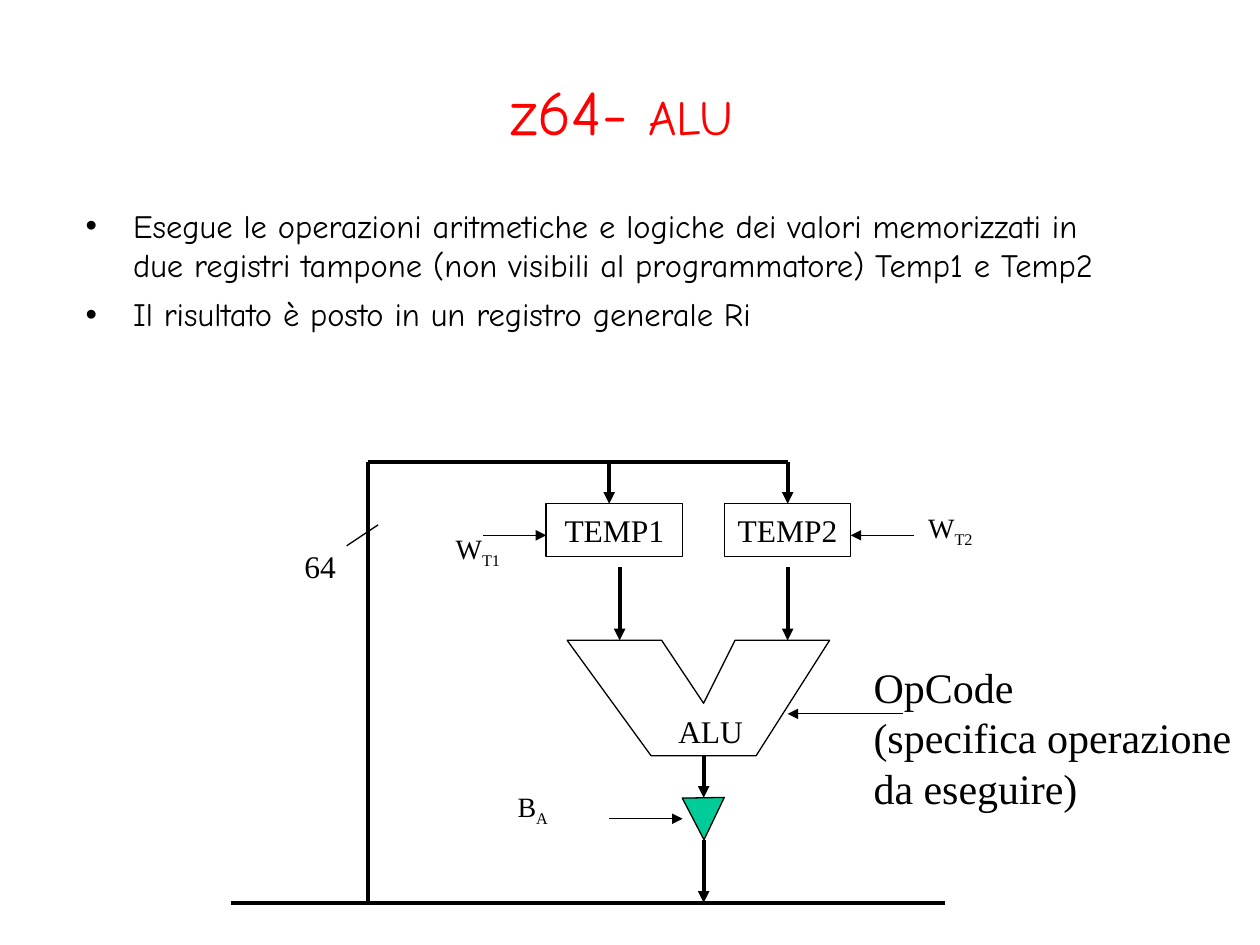
from lxml.etree import SubElement
from pptx import Presentation
from pptx.dml.color import RGBColor
from pptx.enum.shapes import MSO_CONNECTOR, MSO_SHAPE
from pptx.enum.text import MSO_ANCHOR, MSO_AUTO_SIZE, PP_ALIGN
from pptx.oxml.ns import qn
from pptx.util import Cm, Pt

STEP = 2.54 / 12  # grid pitch of the diagram in cm
SANS, SERIF = "Comic Neue", "Times New Roman"
BLACK, WHITE, RED, GREEN = "000000", "FFFFFF", "FF0000", "00CC99"


def color(code):
    return RGBColor.from_string(code)


def style(font, name, size, code=BLACK):
    font.name, font.size = name, Pt(size)
    font.color.rgb = color(code)


def place(shape, box):
    shape.left, shape.top, shape.width, shape.height = map(Cm, box)


def add_title(slide, box):
    title = slide.shapes.title
    place(title, box)
    frame = title.text_frame
    frame.auto_size = MSO_AUTO_SIZE.NONE
    frame.vertical_anchor = MSO_ANCHOR.MIDDLE
    par = frame.paragraphs[0]
    par.alignment = PP_ALIGN.CENTER
    style(par.font, SANS, 36, RED)
    for text, size in (("z64- ", 36), ("ALU ", 28)):
        run = par.add_run()
        run.text = text
        run.font.size = Pt(size)


def add_list(slide, box, items):
    body = slide.placeholders[1]
    place(body, box)
    frame = body.text_frame
    frame.auto_size = MSO_AUTO_SIZE.NONE
    frame.text = "\n".join(items)
    for i, par in enumerate(frame.paragraphs):
        props = par._p.get_or_add_pPr()
        props.set("marL", str(Cm(0.96)))
        props.set("indent", str(Cm(-0.96)))
        SubElement(props, qn("a:buChar")).set("char", "•")
        par.space_before = Pt(6 if i else 0)
        style(par.font, SANS, 18.6)


class Diagram:
    """Draws on a grid whose origin is the top left of the diagram."""

    def __init__(self, slide, left, top):
        self.shapes = slide.shapes
        self.left, self.top = left, top

    def spot(self, x, y):
        return Cm(self.left + x * STEP), Cm(self.top + y * STEP)

    def area(self, x, y, w, h):
        return *self.spot(x, y), Cm(w * STEP), Cm(h * STEP)

    def line(self, start, end, width=0.75, arrow=False):
        link = self.shapes.add_connector(
            MSO_CONNECTOR.STRAIGHT, *self.spot(*start), *self.spot(*end))
        link.line.color.rgb = color(BLACK)
        link.line.width = Pt(width)
        if arrow:
            SubElement(link.line._get_or_add_ln(), qn("a:tailEnd")).set("type", "triangle")
        SubElement(link._element.spPr, qn("a:effectLst"))
        return link

    def finish(self, shape, fill=None):
        shape.shadow.inherit = False
        if fill:
            shape.fill.solid()
            shape.fill.fore_color.rgb = color(fill)
        else:
            shape.fill.background()
        shape.line.color.rgb = color(BLACK)
        shape.line.width = Pt(0.75)
        return shape

    def block(self, text, *box):
        shape = self.finish(
            self.shapes.add_shape(MSO_SHAPE.RECTANGLE, *self.area(*box)), WHITE)
        frame = shape.text_frame
        frame.word_wrap = False
        frame.vertical_anchor = MSO_ANCHOR.MIDDLE
        par = frame.paragraphs[0]
        par.text = text
        par.alignment = PP_ALIGN.CENTER
        style(par.font, SERIF, 18)
        return shape

    def label(self, text, size, box, sub=""):
        frame = self.shapes.add_textbox(*self.area(*box)).text_frame
        frame.word_wrap = False
        frame.auto_size = MSO_AUTO_SIZE.SHAPE_TO_FIT_TEXT
        frame.text = text
        for par in frame.paragraphs:
            style(par.font, SERIF, size)
        if sub:
            run = frame.paragraphs[0].add_run()
            run.text = sub
            run.font._element.set("baseline", "-25000")

    def outline(self, points):
        spots = [self.spot(*point) for point in points]
        build = self.shapes.build_freeform(*spots[0])
        build.add_line_segments(spots[1:], close=True)
        self.finish(build.convert_to_shape())


def add_bus(art):
    for start, end in (((0, 42), (68, 42)), ((13, 0), (53, 0)), ((13, 42), (13, 0))):
        art.line(start, end, 2.25)
    art.line((14, 6), (11, 8))
    art.label("64", 18, (5.8, 7.5, 5.4, 4.8))


def add_temps(art):
    art.block("TEMP1", 30, 4, 13, 5)
    temp = art.block("TEMP2", 47, 4, 12, 5)
    art.line((36, 0), (36, 4), 2.25, True)
    art.line((53, 0), (53, 4), 2.25, True).end_connect(temp, 0)
    for x in (37, 53):
        art.line((x, 10), (x, 17), 2.25, True)
    art.line((24, 7), (30, 7), arrow=True)
    art.line((65, 7), (59, 7), arrow=True)
    art.label("W", 16, (20.2, 6, 6.6, 4.9), "T1")
    art.label("W", 16, (65.2, 4, 6.6, 4.9), "T2")


def add_alu(art):
    art.outline([(32, 17), (41, 17), (45, 23), (48, 17), (57, 17), (50, 28), (40, 28)])
    art.label("ALU", 18, (41.4, 23.2, 8.8, 4.8))
    art.line((64, 24), (53, 24), arrow=True)
    art.label("OpCode\n(specifica operazione\nda eseguire)", 24, (60, 18.4, 37.4, 15.6))


def add_buffer(art):
    art.line((45, 28), (45, 32), 2.25, True)
    gate = art.shapes.add_shape(MSO_SHAPE.ISOSCELES_TRIANGLE, *art.area(43, 32, 4, 4))
    art.finish(gate, GREEN).rotation = 179.1
    art.line((45, 36), (45, 42), 2.25, True)
    art.line((36, 34), (43, 34), arrow=True)
    art.label("B", 16, (26.1, 30.6, 5.3, 4.9), "A")


def main():
    deck = Presentation()
    deck.slide_width, deck.slide_height = Cm(25.4), Cm(19.05)
    slide = deck.slides.add_slide(deck.slide_layouts[1])
    add_title(slide, (1.9, 0.64, 21.6, 3.18))
    add_list(slide, (1.47, 4.02, 21.6, 3.18), [
        "Esegue le operazioni aritmetiche e logiche dei valori memorizzati in "
        "due registri tampone (non visibili al programmatore) Temp1 e Temp2",
        "Il risultato è posto in un registro generale Ri",
    ])
    art = Diagram(slide, 4.66, 9.31)
    for part in (add_temps, add_alu, add_buffer, add_bus):
        part(art)
    deck.save("out.pptx")


if __name__ == "__main__":
    main()
